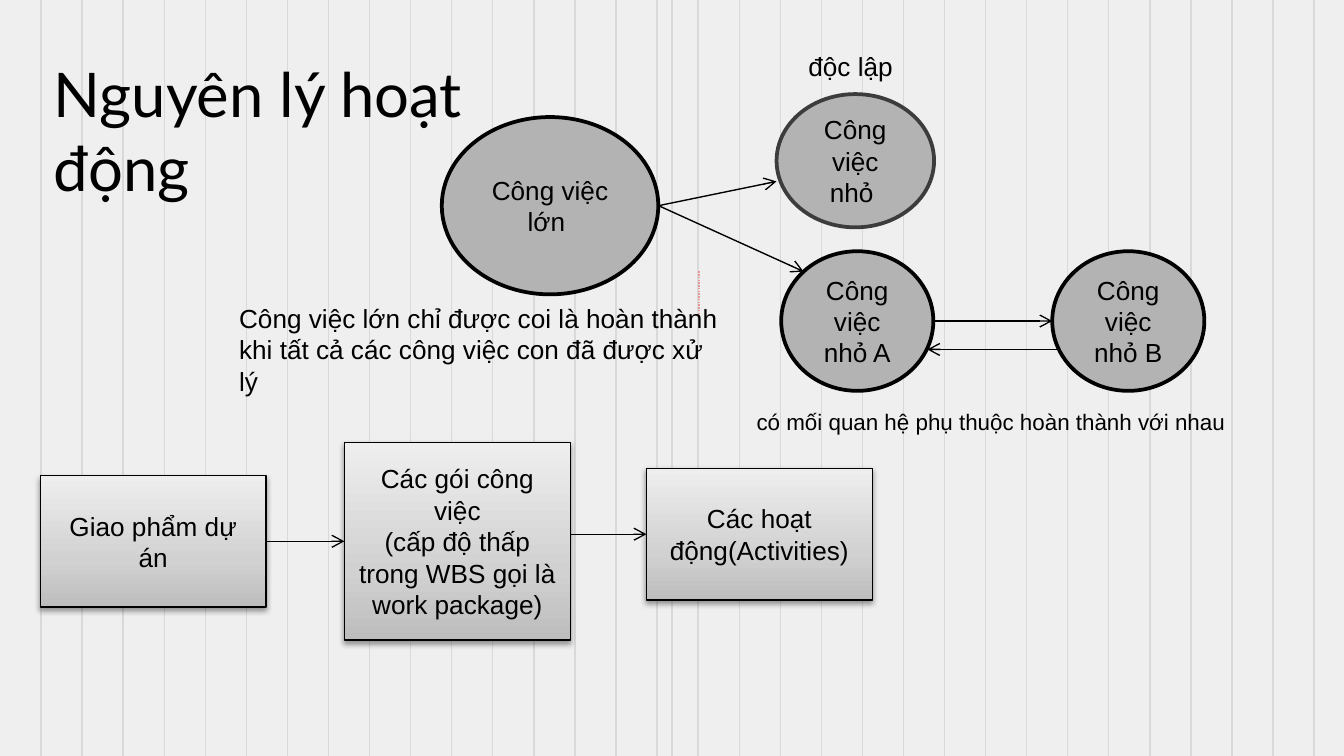
from lxml import etree
from pptx import Presentation
from pptx.dml.color import RGBColor
from pptx.enum import dml, shapes, text
from pptx.oxml import ns
from pptx.util import Pt

WIDTH, HEIGHT = 720, 405
GRID_STEP = 22
BOX_WIDTH = 121
GRADIENT = ((0, "BDBDBD"), (35, "D1D1D1"), (100, "EEEEEE"))


def color(value):
    """Turn a hex string into a colour."""
    return RGBColor.from_string(value)


def add_xml(parent, tag, **attributes):
    """Add a drawing element with the given attributes under the parent."""
    return etree.SubElement(parent, ns.qn(f"a:{tag}"), attributes)


def set_text(shape, content, size=14, font="Arial", align=text.PP_ALIGN.LEFT,
             anchor=text.MSO_ANCHOR.TOP, wrap=True, margin=3.6):
    """Write the text into the shape, one paragraph per line."""
    frame = shape.text_frame
    frame.text = content
    frame.word_wrap = wrap
    frame.auto_size = text.MSO_AUTO_SIZE.NONE
    frame.vertical_anchor = anchor
    frame.margin_left = frame.margin_right = Pt(7.2)
    frame.margin_top = frame.margin_bottom = Pt(margin)
    for paragraph in frame.paragraphs:
        paragraph.alignment = align
        paragraph.font.size = Pt(size)
        paragraph.font.name = font
        paragraph.font.color.rgb = color("000000")


def add_node(slide, kind, bounds, content, line, line_width):
    """Add an outlined shape with centred text."""
    shape = slide.shapes.add_shape(kind, *map(Pt, bounds))
    shape.shadow.inherit = False
    shape.line.color.rgb = color(line)
    shape.line.width = Pt(line_width)
    set_text(shape, content, align=text.PP_ALIGN.CENTER, anchor=text.MSO_ANCHOR.MIDDLE)
    return shape


def add_task(slide, bounds, content, line="000000"):
    """Add a grey ellipse for a task."""
    shape = add_node(slide, shapes.MSO_SHAPE.OVAL, bounds, content, line, 2)
    shape.fill.solid()
    shape.fill.fore_color.rgb = color("B3B3B3")


def add_box(slide, left, top, height, content):
    """Add a gradient rectangle with a soft shadow for a project stage."""
    bounds = (left, top, BOX_WIDTH, height)
    shape = add_node(slide, shapes.MSO_SHAPE.RECTANGLE, bounds, content, "000000", 0.75)
    shape.fill.gradient()
    shape.fill.gradient_angle = 90
    properties = shape._element.spPr
    stops = properties.find(".//" + ns.qn("a:gsLst"))
    for stop in list(stops):
        stops.remove(stop)
    for position, value in GRADIENT:
        stop = add_xml(stops, "gs", pos=str(position * 1000))
        add_xml(stop, "srgbClr", val=value)
    shadow = add_xml(properties.find(ns.qn("a:effectLst")), "outerShdw", blurRad=str(Pt(3.1)),
                     dist=str(Pt(1.6)), dir="5400000", rotWithShape="0")
    add_xml(add_xml(shadow, "srgbClr", val="000000"), "alpha", val="38000")
    return shape


def add_line(slide, start, end, line="000000"):
    """Add a thin straight line."""
    connector = slide.shapes.add_connector(
        shapes.MSO_CONNECTOR.STRAIGHT, *map(Pt, (*start, *end)))
    connector.line.color.rgb = color(line)
    connector.line.width = Pt(0.75)
    add_xml(connector._element.spPr, "effectLst")
    return connector


def add_arrow(slide, start, end, source=None, target=None):
    """Add an arrow, joined to the right of source and the left of target."""
    connector = add_line(slide, start, end)
    add_xml(connector.line._get_or_add_ln(), "tailEnd", type="arrow")
    if source is not None:
        connector.begin_connect(source, 3)
    if target is not None:
        connector.end_connect(target, 1)


def add_label(slide, bounds, content, **text_format):
    """Add a text box."""
    box = slide.shapes.add_textbox(*map(Pt, bounds))
    set_text(box, content, **text_format)


def add_background(slide):
    """Fill the background and rule it with vertical lines."""
    slide.background.fill.solid()
    slide.background.fill.fore_color.rgb = color("EFEFEF")
    for x in [*range(GRID_STEP, WIDTH, GRID_STEP), WIDTH / 2]:
        add_line(slide, (x, 0), (x, HEIGHT), "D9D9D9")


def add_title(slide, content):
    """Format the title and bring it in front of the ruled lines."""
    title = slide.shapes.title
    title.left, title.top, title.width, title.height = map(Pt, (21.6, 23, 266.4, 45.4))
    set_text(title, content, size=33, font="Lato", margin=7.2)
    slide.shapes._spTree.append(title._element)


def add_tasks(slide):
    """Draw the large task split into small tasks."""
    dotted = add_line(slide, (374.4, 145.4), (374.4, 169.9), "EA9999")
    dotted.line.dash_style = dml.MSO_LINE.ROUND_DOT
    add_task(slide, (236.7, 62.7, 116, 95), "Công việc lớn ")
    add_task(slide, (416, 50.4, 84.4, 71.4), "Công việc nhỏ ", "3C3C3C")
    for left, name in ((418.5, "A"), (563.7, "B")):
        add_task(slide, (left, 134.6, 81.5, 74.8), f"Công việc nhỏ {name}")
    split = (352.8, 110.2)
    add_arrow(slide, split, (416, 97.2))
    add_arrow(slide, split, (430.5, 145.5))
    add_arrow(slide, (500.2, 172), (563.7, 172))
    add_arrow(slide, (567.4, 187.2), (496.8, 187.2))
    add_label(slide, (121, 158.4, 270.7, 58.3),
              "Công việc lớn chỉ được coi là hoàn thành khi tất cả các công việc con đã được xử lý")
    add_label(slide, (426, 23.3, 64, 24.2), "độc lập", wrap=False)
    add_label(slide, (398.2, 215.3, 267.8, 21.8),
              "có mối quan hệ phụ thuộc hoàn thành với nhau", size=12, wrap=False)


def add_stages(slide):
    """Draw the row of project stages."""
    product = add_box(slide, 21.6, 254.8, 70.4, "Giao phẩm dự án")
    packages = add_box(slide, 184.5, 237.1, 105.8,
                       "Các gói công việc\n(cấp độ thấp trong WBS gọi là work package)")
    activities = add_box(slide, 346.3, 251, 70.4, "Các hoạt động(Activities)")
    add_arrow(slide, (142.6, 290), (184.5, 290), product, packages)
    add_arrow(slide, (305.5, 286.2), (346.3, 286.2), target=activities)


def main():
    """Build and save the slide."""
    presentation = Presentation()
    presentation.slide_width, presentation.slide_height = Pt(WIDTH), Pt(HEIGHT)
    slide = presentation.slides.add_slide(presentation.slide_layouts[5])
    add_background(slide)
    add_title(slide, "Nguyên lý hoạt động")
    add_tasks(slide)
    add_stages(slide)
    presentation.save("out.pptx")


if __name__ == "__main__":
    main()
